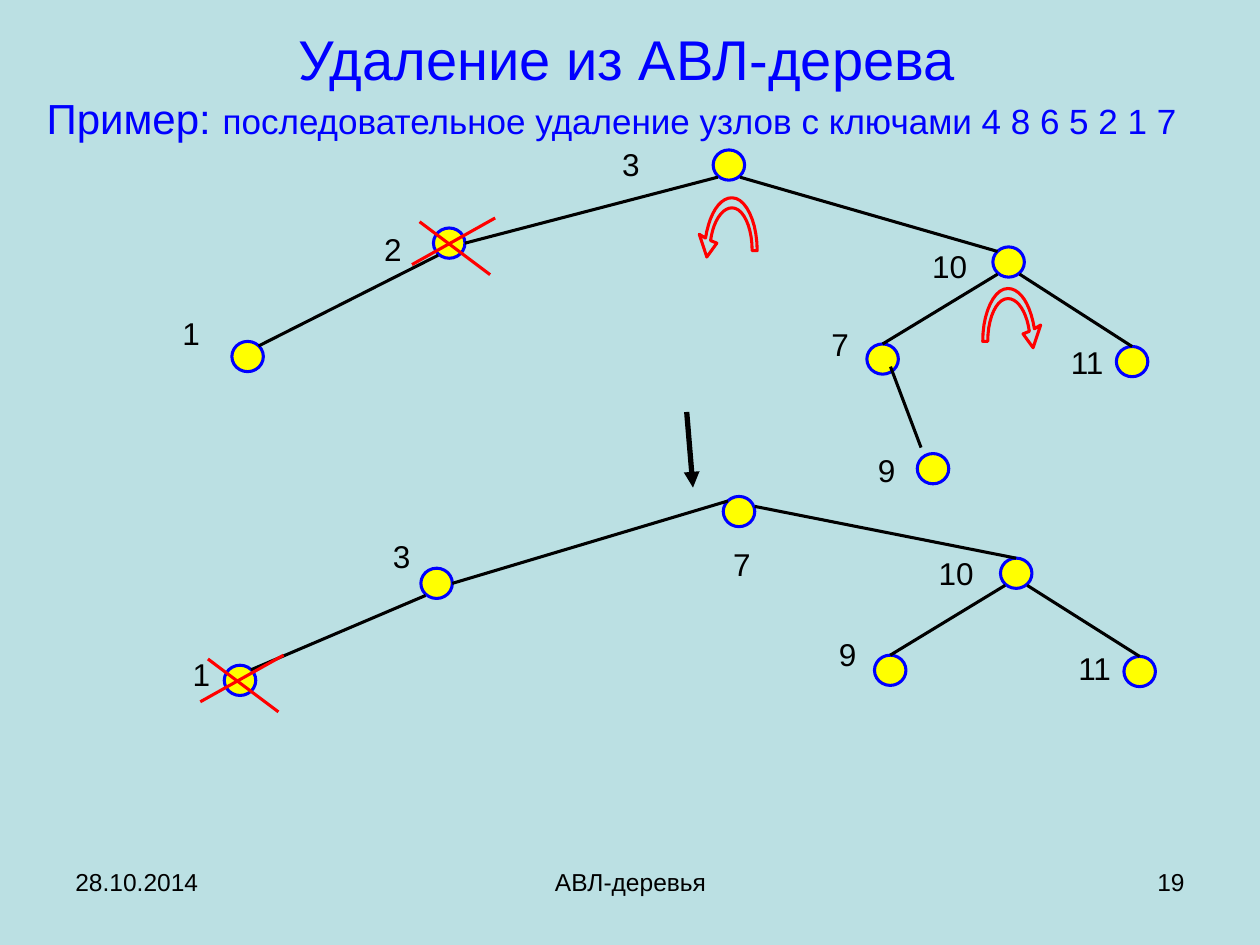
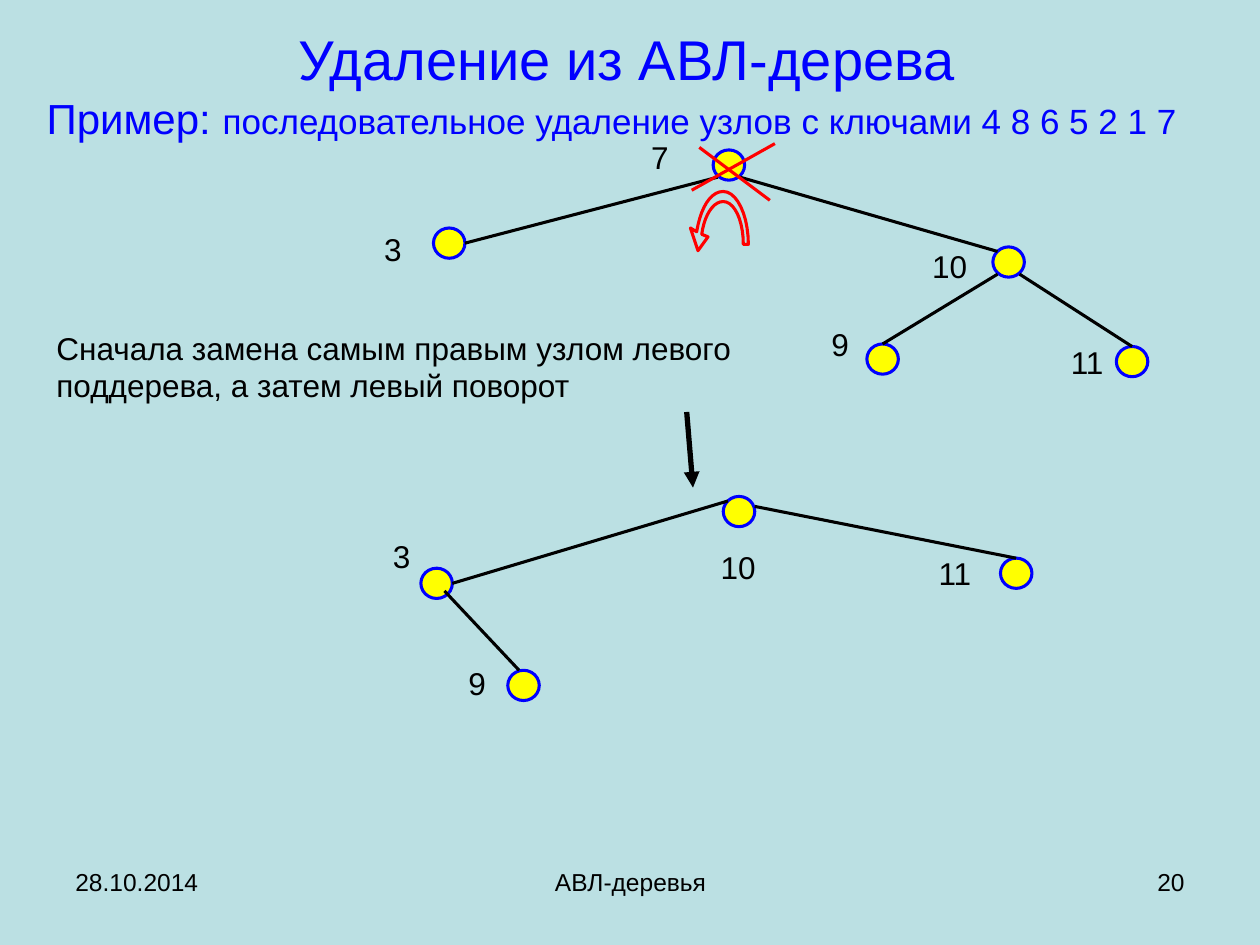
from lxml import etree
from pptx import Presentation
from pptx.dml.color import RGBColor
from pptx.enum.shapes import MSO_CONNECTOR, MSO_SHAPE
from pptx.enum.text import MSO_ANCHOR, MSO_AUTO_SIZE, PP_ALIGN
from pptx.oxml.ns import qn
from pptx.util import Inches, Pt

STRAIGHT, ELLIPSE = MSO_CONNECTOR.STRAIGHT, MSO_SHAPE.OVAL
LEFT, CENTER, RIGHT = PP_ALIGN.LEFT, PP_ALIGN.CENTER, PP_ALIGN.RIGHT
MIDDLE, NO_AUTOFIT = MSO_ANCHOR.MIDDLE, MSO_AUTO_SIZE.NONE

FONT = "Arial"
BACKGROUND, BLUE, YELLOW, RED, BLACK = "BBE0E3", "0000FF", "FFFF00", "FF0000", "000000"
LINE_WIDTH = 1.75

# Title lines: left indent in inches, then text pieces with their sizes
TITLE_LINES = [
    (2, [("Удаление из АВЛ-дерева", 32)]),
    (0, [("Пример: ", 24), ("последовательное удаление узлов с ключами 4 8 6 5 2 1 7", 20)]),
]
TITLE_BOX = (0.27, 0.3, 9.53, 0.73)
DATE, TOPIC, FIRST_NUMBER = "28.10.2014", "АВЛ-деревья", 19
FOOTER_TOP, FOOTER_HEIGHT = 6.83, 0.52
STEP_ARROW = ((5.45, 3.27), (5.5, 3.87))

NODE_SIZE = (0.25, 0.24)
# Where an edge meets a node, as fractions of the node's box
SITES = {"top": (0.5, 0), "right": (1, 0.5), "upper right": (1, 0.33),
         "top left": (0.15, 0.15), "above left": (0.12, -0.2), "top right": (0.85, 0.15),
         "bottom left": (0.15, 0.9), "bottom right": (0.85, 0.9),
         "inner right": (0.75, 0.75), "top middle left": (0.36, 0)}

# spot: (node corner, label corner, edge from the parent: parent, site there, site here)
SPOTS = {
    "before": ((5.66, 1.19), (4.84, 1.1), None),
    "before L": ((3.44, 1.81), (2.95, 1.78), ("before", "bottom left", "right")),
    "before LL": ((1.84, 2.71), (1.35, 2.44), ("before L", "bottom left", "top right")),
    "before R": ((7.88, 1.96), (7.3, 1.91), ("before", "bottom right", "top left")),
    "before RL": ((6.88, 2.73), (6.5, 2.53), ("before R", "bottom left", "top")),
    "before RR": ((8.86, 2.75), (8.4, 2.67), ("before R", "bottom right", "top")),
    "before RLR": ((7.28, 3.6), (6.87, 3.53), ("before RL", "inner right", "above left")),
    "after": ((5.74, 3.94), (5.72, 4.28), None),
    "after L": ((3.34, 4.51), (3.02, 4.21), ("after", "top left", "right")),
    "after LL": ((1.78, 5.28), (1.43, 5.15), ("after L", "bottom left", "top right")),
    "after LR": ((4.03, 5.32), (3.62, 5.22), ("after L", "inner right", "top middle left")),
    "after R": ((7.94, 4.43), (7.35, 4.35), ("after", "upper right", "top")),
    "after RL": ((6.94, 5.2), (6.56, 4.99), ("after R", "bottom left", "top")),
    "after RR": ((8.92, 5.21), (8.46, 5.1), ("after R", "bottom right", "top")),
}

STEPS = [
    {
        "keys": {"before": "3", "before L": "2", "before LL": "1", "before R": "10",
                 "before RL": "7", "before RR": "11", "before RLR": "9",
                 "after": "7", "after L": "3", "after LL": "1", "after R": "10",
                 "after RL": "9", "after RR": "11"},
        "moved labels": {},
        "crosses": [(3.27, 1.73), (1.59, 5.2)],
        "turns": [(5.81, 1.57, "left"), (8, 2.29, "right")],
        "remark": None,
    },
    {
        "keys": {"before": "7", "before L": "3", "before R": "10", "before RL": "9",
                 "before RR": "11", "after": "10", "after L": "3", "after LR": "9",
                 "after R": "11"},
        "moved labels": {"before": (5.07, 1.05), "after": (5.62, 4.3)},
        "crosses": [(5.49, 1.14)],
        "turns": [(5.74, 1.52, "left")],
        "remark": "Сначала замена самым правым узлом левого поддерева, а затем левый поворот",
    },
]
REMARK_BOX = (0.35, 2.56, 5.87, 0.7)

CROSS_STROKES = [((0.66, 0), (0, 0.37)), ((0.06, 0.03), (0.62, 0.45))]
# Left-turn arrow measured from its apex: three points make a curve, one a straight side
TURN_START = (-0.17, 0.34)
TURN_SIDES = [
    [(-0.15, 0.19), (-0.08, 0.08), (0, 0.08)],
    [(0.09, 0.08), (0.16, 0.23), (0.16, 0.42)],
    [(0.2, 0.42)],
    [(0.2, 0.19), (0.11, 0), (0, 0)],
    [(-0.1, 0), (-0.18, 0.13), (-0.21, 0.32)],
    [(-0.26, 0.29)], [(-0.2, 0.47)], [(-0.12, 0.36)],
]
CURVE_STEPS = 10


def rgb(color):
    return RGBColor.from_string(color)


def inches(values):
    return [Inches(value) for value in values]


def style_font(font, size, color=BLACK):
    font.name, font.size = FONT, Pt(size)
    font.color.rgb = rgb(color)


def style_outline(line, color, width=LINE_WIDTH):
    line.color.rgb, line.width = rgb(color), Pt(width)


def style_shape(shape, fill, outline):
    shape.shadow.inherit = False
    shape.fill.solid()
    shape.fill.fore_color.rgb = rgb(fill)
    style_outline(shape.line, outline)


def add_text(slide, text, box, size=18, align=LEFT):
    frame = slide.shapes.add_textbox(*inches(box)).text_frame
    frame.word_wrap = True
    paragraph = frame.paragraphs[0]
    paragraph.text, paragraph.alignment = text, align
    style_font(paragraph.font, size)


def add_line(slide, start, end, color=BLACK, width=LINE_WIDTH, arrow=False):
    connector = slide.shapes.add_connector(STRAIGHT, *inches(start + end))
    style_outline(connector.line, color, width)
    if arrow:
        etree.SubElement(connector.line._get_or_add_ln(), qn("a:tailEnd"), type="triangle")
    etree.SubElement(connector._element.spPr, qn("a:effectLst"))


def add_title(slide):
    title = slide.shapes.title
    title.left, title.top, title.width, title.height = inches(TITLE_BOX)
    frame = title.text_frame
    frame.auto_size, frame.vertical_anchor = NO_AUTOFIT, MIDDLE
    frame.add_paragraph()
    for paragraph, (indent, pieces) in zip(frame.paragraphs, TITLE_LINES):
        paragraph.alignment, paragraph.space_before = LEFT, Pt(0)
        properties = paragraph._p.get_or_add_pPr()
        properties.set("marL", str(Inches(indent)))
        properties.set("indent", "0")
        for text, size in pieces:
            run = paragraph.add_run()
            run.text = text
            style_font(run.font, size, BLUE)


def add_footer(slide, number):
    for text, left, width, align in [(DATE, 0.5, 2.33, LEFT), (TOPIC, 3.42, 3.17, CENTER),
                                     (str(number), 7.17, 2.33, RIGHT)]:
        add_text(slide, text, (left, FOOTER_TOP, width, FOOTER_HEIGHT), 14, align)


def site_point(spot, site):
    corner = SPOTS[spot][0]
    return tuple(c + size * part for c, size, part in zip(corner, NODE_SIZE, SITES[site]))


def add_trees(slide, keys, moved_labels):
    for spot in keys:
        node = slide.shapes.add_shape(ELLIPSE, *inches(SPOTS[spot][0] + NODE_SIZE))
        style_shape(node, YELLOW, BLUE)
    for spot, key in keys.items():
        _, label, edge = SPOTS[spot]
        if edge:
            parent, parent_site, own_site = edge
            add_line(slide, site_point(parent, parent_site), site_point(spot, own_site))
        width = 0.27 if len(key) == 1 else 0.55
        add_text(slide, key, moved_labels.get(spot, label) + (width, 0.4))


def bezier(points, t):
    weights = ((1 - t) ** 3, 3 * t * (1 - t) ** 2, 3 * t * t * (1 - t), t ** 3)
    return tuple(sum(w * p[axis] for w, p in zip(weights, points)) for axis in (0, 1))


def turn_outline():
    outline = [TURN_START]
    for side in TURN_SIDES:
        if len(side) == 1:
            outline += side
        else:
            controls = [outline[-1]] + side
            outline += [bezier(controls, i / CURVE_STEPS) for i in range(1, CURVE_STEPS + 1)]
    return outline


def add_turn(slide, apex_x, apex_y, direction):
    mirror = 1 if direction == "left" else -1
    points = [inches((apex_x + mirror * x, apex_y + y)) for x, y in turn_outline()]
    builder = slide.shapes.build_freeform(*points[0])
    builder.add_line_segments(points[1:], close=True)
    style_shape(builder.convert_to_shape(), BACKGROUND, RED)


def add_cross(slide, left, top):
    for stroke in CROSS_STROKES:
        start, end = [(left + x, top + y) for x, y in stroke]
        add_line(slide, start, end, RED)


def add_step(presentation, number, step):
    slide = presentation.slides.add_slide(presentation.slide_layouts[5])
    add_title(slide)
    add_footer(slide, number)
    add_trees(slide, step["keys"], step["moved labels"])
    for turn in step["turns"]:
        add_turn(slide, *turn)
    add_line(slide, *STEP_ARROW, width=3, arrow=True)
    for cross in step["crosses"]:
        add_cross(slide, *cross)
    if step["remark"]:
        add_text(slide, step["remark"], REMARK_BOX)


def main():
    presentation = Presentation()
    presentation.slide_width, presentation.slide_height = inches((10, 7.5))
    backdrop = presentation.slide_master.background.fill
    backdrop.solid()
    backdrop.fore_color.rgb = rgb(BACKGROUND)
    for number, step in enumerate(STEPS, FIRST_NUMBER):
        add_step(presentation, number, step)
    presentation.save("out.pptx")


if __name__ == "__main__":
    main()
